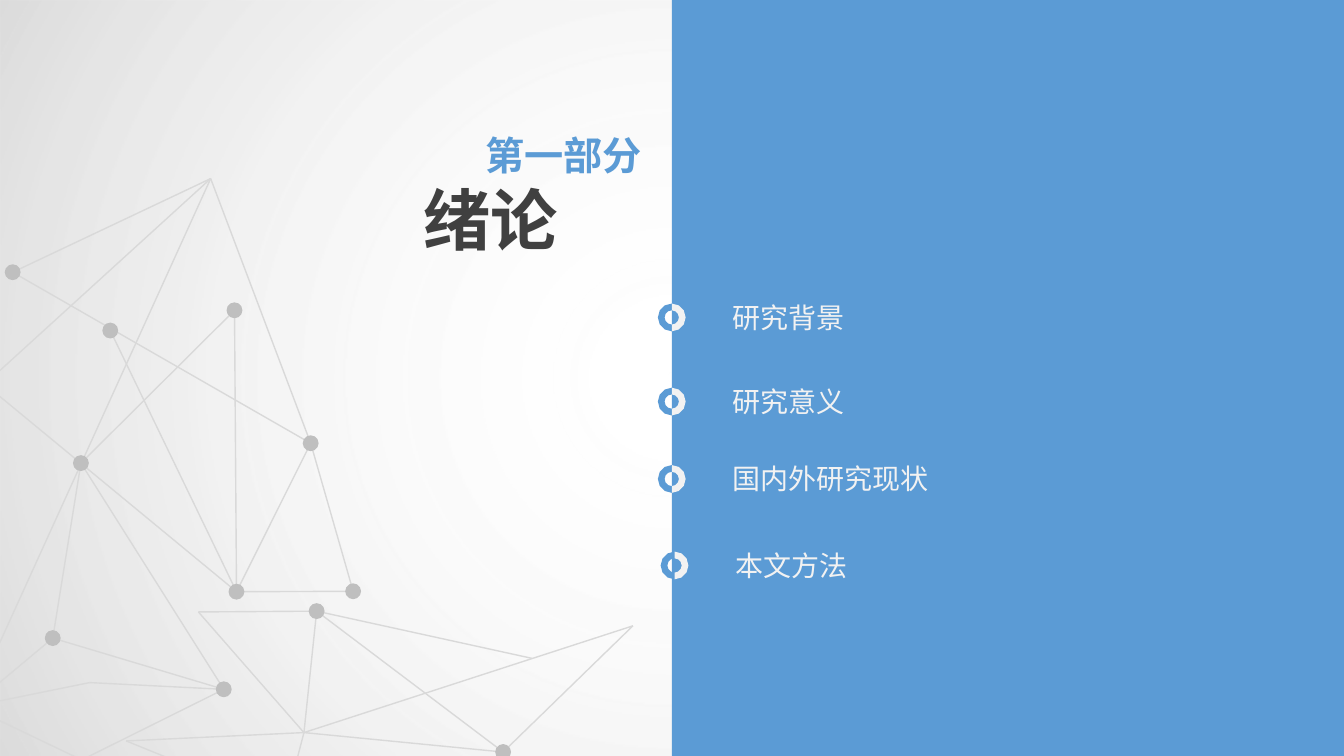
"""Build the section slide for the introduction."""
import math

import pptx
import pptx.dml.color
import pptx.enum.shapes
import pptx.enum.text
import pptx.oxml
import pptx.oxml.ns
import pptx.util
from lxml import etree

Cm = pptx.util.Cm
qn = pptx.oxml.ns.qn
SHAPE = pptx.enum.shapes.MSO_SHAPE

NODES = {
    "hub": (7.66, 18.46), "foot": (12.68, 18.95), "shoulder": (5.0, 15.42),
    "joint": (7.98, 15.4), "root": (7.18, 20.3), "heel": (3.18, 18.67),
    "wing": (15.95, 15.77), "fold": (13.41, 16.59),
    "apex": (5.31, 4.5), "edge": (-0.38, 9.68), "outer": (-0.74, 17.81),
    "right": (7.83, 11.17), "corner": (8.9, 14.9), "base": (5.96, 14.91),
    "left": (0.32, 6.86), "inner": (2.78, 8.33), "upper": (5.91, 7.82),
    "cross": (2.04, 11.67), "low": (1.33, 16.08), "tip": (5.64, 17.37),
    "bend": (2.26, 17.2), "bottom": (2.06, 19.15),
}
EDGES = {
    "hub": "foot shoulder joint root heel wing",
    "joint": "shoulder foot fold",
    "heel": "root",
    "wing": "foot",
    "apex": "edge outer right left",
    "right": "corner base left",
    "base": "edge inner upper corner",
    "cross": "upper low tip",
    "low": "outer tip",
    "bend": "tip outer",
    "bottom": "tip outer",
}
DOTS = "foot joint left inner upper right corner base cross tip low"
TOPICS = [
    ("研究背景", 16.93, 8.0),
    ("研究意义", 16.93, 10.12),
    ("国内外研究现状", 16.93, 12.07),
    ("本文方法", 17.0, 14.25),
]


def rgb(value):
    """Return the colour for a hex string."""
    return pptx.dml.color.RGBColor.from_string(value)


class Deck:
    """Hold the style and the current slide."""

    font = "Noto Sans CJK SC"
    blue, dark, light = "5B9BD5", "404040", "F2F2F2"
    line_grey, dot_grey = "D9D9D9", "BFBFBF"

    def __init__(self):
        """Start a presentation with one blank slide."""
        self.prs = pptx.Presentation()
        self.prs.slide_width, self.prs.slide_height = Cm(33.87), Cm(19.05)
        self.s = self.prs.slides.add_slide(self.prs.slide_layouts[6])

    def paint(self, sp, color):
        """Give a shape a flat fill without line or shadow."""
        sp.shadow.inherit = False
        sp.fill.solid()
        sp.fill.fore_color.rgb = rgb(color)
        sp.line.fill.background()
        return sp

    def shape(self, kind, x, y, w, h, color):
        """Add a preset shape."""
        sp = self.s.shapes.add_shape(kind, Cm(x), Cm(y), Cm(w), Cm(h))
        return self.paint(sp, color)

    def glow(self, x, y, w, h, stops):
        """Add a rectangle with a round, partly clear gradient."""
        sp = self.shape(SHAPE.RECTANGLE, x, y, w, h, "FFFFFF")
        marks = "".join(
            f'<a:gs pos="{pos * 1000}"><a:srgbClr val="{color}">'
            f'<a:alpha val="{alpha * 1000}"/></a:srgbClr></a:gs>'
            for pos, color, alpha in stops)
        grad = pptx.oxml.parse_xml(
            f'<a:gradFill {pptx.oxml.ns.nsdecls("a")} rotWithShape="1">'
            f'<a:gsLst>{marks}</a:gsLst><a:path path="circle">'
            '<a:fillToRect l="50000" t="50000" r="50000" b="50000"/>'
            '</a:path></a:gradFill>')
        spPr = sp._element.spPr
        spPr.replace(spPr.find(qn("a:solidFill")), grad)

    def line(self, start, end):
        """Add a thin grey line."""
        cx = self.s.shapes.add_connector(
            pptx.enum.shapes.MSO_CONNECTOR.STRAIGHT,
            *(Cm(v) for v in (*start, *end)))
        cx.line.color.rgb = rgb(self.line_grey)
        cx.line.width = pptx.util.Pt(1)
        etree.SubElement(cx._element.spPr, qn("a:effectLst"))

    def dot(self, x, y, size=0.4):
        """Add a grey dot around a centre."""
        self.shape(SHAPE.OVAL, x - size / 2, y - size / 2, size, size,
                   self.dot_grey)

    def half_ring(self, x, y, side, color, outer=0.35, inner=0.18):
        """Add half a ring, side -1 for left and 1 for right."""
        angles = [math.radians(a) for a in range(-90, 91, 30)]
        arc = [(outer, a) for a in angles] + [(inner, a) for a in angles[::-1]]
        points = [(Cm(x + side * radius * math.cos(a)),
                   Cm(y + radius * math.sin(a))) for radius, a in arc]
        builder = self.s.shapes.build_freeform(*points[0], scale=1.0)
        builder.add_line_segments(points[1:], close=True)
        self.paint(builder.convert_to_shape(), color)

    def text(self, text, x, y, w, h, size, color, bold=False, center=False):
        """Add a single line of text."""
        sp = self.s.shapes.add_textbox(Cm(x), Cm(y), Cm(w), Cm(h))
        tf = sp.text_frame
        tf.text = text
        tf.word_wrap = False
        tf.auto_size = pptx.enum.text.MSO_AUTO_SIZE.SHAPE_TO_FIT_TEXT
        p = tf.paragraphs[0]
        if center:
            p.alignment = pptx.enum.text.PP_ALIGN.CENTER
        r = p.runs[0]
        r.font.size = pptx.util.Pt(size)
        r.font.bold = bold
        r.font.color.rgb = rgb(color)
        r.font.name = self.font
        ea = etree.SubElement(r._r.get_or_add_rPr(), qn("a:ea"))
        ea.set("typeface", self.font)


def main():
    """Draw the slide and save it."""
    d = Deck()
    d.glow(0, 0, 33.87, 19.05,
           [(0, "FFFFFF", 0), (67, "BFBFBF", 25), (100, "A6A6A6", 40)])
    for start, ends in EDGES.items():
        for end in ends.split():
            d.line(NODES[start], NODES[end])
    for name in DOTS.split():
        d.dot(*NODES[name])

    d.shape(SHAPE.RECTANGLE, 16.93, 0, 16.94, 19.05, d.blue)
    d.text("绪论", 10.39, 4.37, 3.94, 2.31, 48, d.dark, True, True)
    d.text("第一部分", 11.95, 3.18, 4.5, 1.45, 28, d.blue, True, True)
    for topic, x, y in TOPICS:
        d.half_ring(x, y, -1, d.blue)
        d.half_ring(x, y, 1, d.light)
        d.text(topic, x + 1.28, y - 0.56, 0.51 + 0.71 * len(topic), 1.11,
               20, d.light)
    d.prs.save("out.pptx")


if __name__ == "__main__":
    main()
